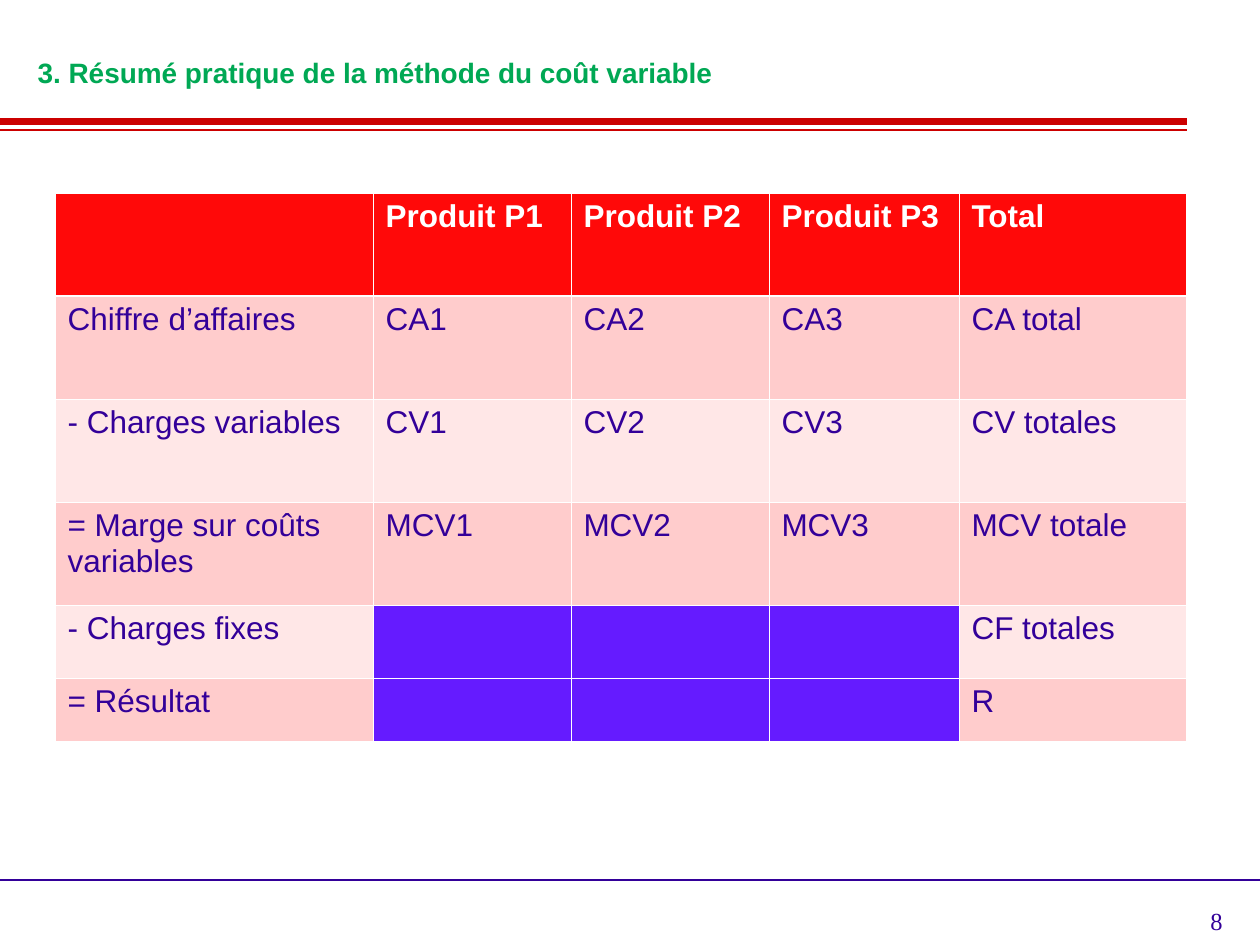
from lxml.etree import SubElement
from pptx import Presentation
from pptx.dml.color import RGBColor
from pptx.enum.shapes import MSO_CONNECTOR
from pptx.enum.text import MSO_ANCHOR, PP_ALIGN
from pptx.oxml.ns import qn
from pptx.util import Emu, Pt

PIXELS_PER_INCH = 126
WHITE, RED, VIOLET, GREEN = "FFFFFF", "CC0000", "330099", "00A854"
HEADER_FILL, BLOCKED_FILL = "FF0909", "651BFF"
BAND_FILLS = ["FFE7E7", "FFCCCC"]
TABLE_LEFT, TABLE_TOP = 55, 193
COLUMN_WIDTHS = [318, 198, 198, 190, 227]
ROW_HEIGHTS = [103, 103, 103, 103, 73, 63]
TABLE_ROWS = [
    ["", "Produit P1", "Produit P2", "Produit P3", "Total"],
    ["Chiffre d’affaires", "CA1", "CA2", "CA3", "CA total"],
    ["- Charges variables", "CV1", "CV2", "CV3", "CV totales"],
    ["= Marge sur coûts variables", "MCV1", "MCV2", "MCV3", "MCV totale"],
    ["- Charges fixes", "", "", "", "CF totales"],
    ["= Résultat", "", "", "", "R"],
]


def px(length):
    return Emu(round(length * 914400 / PIXELS_PER_INCH))


def color(hex_value):
    return RGBColor.from_string(hex_value)


def format_text(text_frame, font_name, size, hex_value, bold=False, align=PP_ALIGN.LEFT):
    for paragraph in text_frame.paragraphs:
        paragraph.alignment = align
        for run in paragraph.runs:
            run.font.name = font_name
            run.font.size = Pt(size)
            run.font.bold = bold
            run.font.color.rgb = color(hex_value)


def add_title(slide, text):
    title = slide.shapes.title
    title.left, title.top, title.width, title.height = px(25), px(45), px(1201), px(54)
    title.text_frame.text = text
    title.text_frame.vertical_anchor = MSO_ANCHOR.MIDDLE
    format_text(title.text_frame, "Arial", 16, GREEN, bold=True)


def add_rule(slide, top, width, hex_value, weight):
    """Draw a horizontal line from the left edge of the slide."""
    rule = slide.shapes.add_connector(MSO_CONNECTOR.STRAIGHT, 0, px(top), px(width), px(top))
    rule.line.color.rgb = color(hex_value)
    rule.line.width = Pt(weight)
    SubElement(rule._element.spPr, qn("a:effectLst"))


def add_page_number(slide, number):
    box = slide.shapes.add_textbox(px(941), px(900), px(294), px(44))
    box.text_frame.word_wrap = True
    box.text_frame.text = number
    format_text(box.text_frame, "Times New Roman", 14, VIOLET, align=PP_ALIGN.RIGHT)


def set_borders(cell, weights):
    """Give the cell white borders; weights maps a side (L, R, T, B) to points."""
    properties = cell._tc.get_or_add_tcPr()
    for side, weight in weights.items():
        line = SubElement(properties, qn(f"a:ln{side}"), w=str(Pt(weight)))
        fill = SubElement(line, qn("a:solidFill"))
        SubElement(fill, qn("a:srgbClr"), val=WHITE)


def format_cell(cell, row_index):
    is_header = row_index == 0
    weights = dict.fromkeys("LRTB", 0.45)
    if is_header:
        weights["B"] = 1.47
    elif row_index == 1:
        weights["T"] = 1.47
    set_borders(cell, weights)

    if is_header:
        fill = HEADER_FILL
    elif not cell.text:
        fill = BLOCKED_FILL
    else:
        fill = BAND_FILLS[row_index % 2]
    cell.fill.solid()
    cell.fill.fore_color.rgb = color(fill)
    format_text(cell.text_frame, "Arial", 18, WHITE if is_header else VIOLET, bold=is_header)


def add_cost_table(slide):
    frame = slide.shapes.add_table(
        len(ROW_HEIGHTS), len(COLUMN_WIDTHS), px(TABLE_LEFT), px(TABLE_TOP),
        px(sum(COLUMN_WIDTHS)), px(sum(ROW_HEIGHTS)))
    table = frame.table
    for column, width in zip(table.columns, COLUMN_WIDTHS):
        column.width = px(width)
    for row_index, (row, height) in enumerate(zip(table.rows, ROW_HEIGHTS)):
        row.height = px(height)
        for cell, text in zip(row.cells, TABLE_ROWS[row_index]):
            cell.text = text
            format_cell(cell, row_index)


def main():
    presentation = Presentation()
    presentation.slide_width, presentation.slide_height = px(1260), px(945)
    slide = presentation.slides.add_slide(presentation.slide_layouts[5])
    add_rule(slide, 130, 1187, RED, 1)
    add_rule(slide, 122, 1187, RED, 4)
    add_rule(slide, 880, 1260, VIOLET, 1)
    add_title(slide, "3. Résumé pratique de la méthode du coût variable")
    add_page_number(slide, "8")
    add_cost_table(slide)
    presentation.save("out.pptx")


if __name__ == "__main__":
    main()
